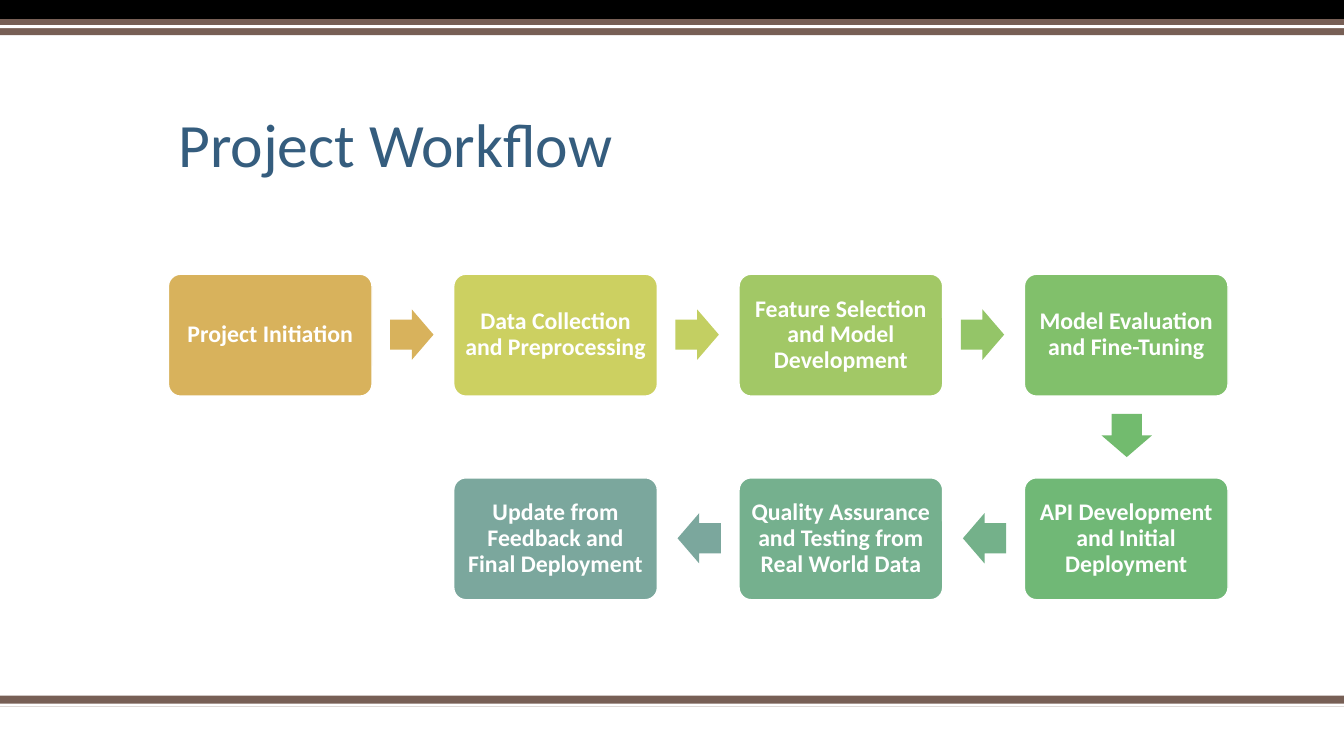
"""Build the Project Workflow slide: seven steps on a folding path of arrows."""

from dataclasses import dataclass
from typing import Any, Optional

from pptx import Presentation
from pptx.dml.color import RGBColor
from pptx.enum.shapes import MSO_SHAPE
from pptx.enum.text import MSO_ANCHOR, MSO_AUTO_SIZE, PP_ALIGN
from pptx.util import Inches, Pt

RECTANGLE = MSO_SHAPE.RECTANGLE
ROUNDED = MSO_SHAPE.ROUNDED_RECTANGLE
ARROW = MSO_SHAPE.RIGHT_ARROW
MIDDLE, BOTTOM = MSO_ANCHOR.MIDDLE, MSO_ANCHOR.BOTTOM
CENTER, LEFT = PP_ALIGN.CENTER, PP_ALIGN.LEFT
NO_AUTOFIT = MSO_AUTO_SIZE.NONE
TITLE_ONLY = 5


@dataclass(frozen=True)
class Theme:
    font: str = "Calibri"
    title_size: float = 44
    step_size: float = 17
    title: str = "355D7E"
    brown: str = "775F55"
    black: str = "000000"
    white: str = "FFFFFF"


@dataclass(frozen=True)
class Band:
    top: float
    height: float
    color: str


@dataclass(frozen=True)
class Heading:
    dx: float
    dy: float
    rotation: int


@dataclass(frozen=True)
class Step:
    label: str
    column: int
    row: int
    color: str
    heading: Optional[Heading] = None
    arrow_color: str = ""


THEME = Theme()
SLIDE_WIDTH, SLIDE_HEIGHT = 13.33, 7.5
GRID_LEFT, GRID_TOP = 1.67, 2.72
COLUMN_PITCH, ROW_PITCH = 2.83, 2.02
STEP_WIDTH, STEP_HEIGHT = 2.02, 1.21
ARROW_WIDTH, ARROW_HEIGHT = 0.43, 0.5
STEP_INSET = Inches(0.07)

ONWARD = Heading(2.2, 0.35, 0)
DOWN = Heading(0.8, 1.35, 90)
BACK = Heading(-0.61, 0.35, 180)

BANDS = [
    Band(6.9, 0.11, THEME.brown),
    Band(6.98, 0.03, THEME.white),
    Band(0, 0.19, THEME.black),
    Band(0.19, 0.16, THEME.brown),
    Band(0.25, 0.03, THEME.white),
]

STEPS = [
    Step("Project Initiation", 0, 0, "D8B25C", ONWARD, "D8B25C"),
    Step("Data Collection and Preprocessing", 1, 0, "CCD061", ONWARD, "C3CF62"),
    Step("Feature Selection and Model Development", 2, 0, "A2C866", ONWARD, "94C568"),
    Step("Model Evaluation and Fine-Tuning", 3, 0, "81C06B", DOWN, "72BB6E"),
    Step("API Development and Initial Deployment", 3, 1, "70B876", BACK, "74B18A"),
    Step("Quality Assurance and Testing from Real World Data", 2, 1, "75B08E", BACK, "7BA79D"),
    Step("Update from Feedback and Final Deployment", 1, 1, "7BA79D"),
]

TITLE_FRAME = {"vertical_anchor": BOTTOM, "word_wrap": True, "auto_size": NO_AUTOFIT}
TITLE_PARAGRAPH = {"alignment": LEFT, "line_spacing": 0.9}
TITLE_FONT = {"name": THEME.font, "size": Pt(THEME.title_size), "bold": False}
STEP_FRAME = {
    "vertical_anchor": MIDDLE,
    "word_wrap": True,
    "margin_left": STEP_INSET,
    "margin_right": STEP_INSET,
    "margin_top": STEP_INSET,
    "margin_bottom": STEP_INSET,
}
STEP_PARAGRAPH = {"alignment": CENTER, "line_spacing": 0.9}
STEP_FONT = {"name": THEME.font, "size": Pt(THEME.step_size), "bold": True}


def apply_format(target: Any, values: dict[str, Any]) -> None:
    """Set every attribute named in values on the target."""
    for attribute, value in values.items():
        setattr(target, attribute, value)


def write_text(holder: Any, text: str, frame: dict[str, Any],
               paragraph: dict[str, Any], font: dict[str, Any], color: str) -> None:
    """Write one formatted paragraph into a shape or placeholder."""
    apply_format(holder.text_frame, frame)
    line = holder.text_frame.paragraphs[0]
    apply_format(line, paragraph)
    run = line.add_run()
    run.text = text
    apply_format(run.font, font)
    run.font.color.rgb = RGBColor.from_string(color)


def add_filled(slide: Any, preset: Any, left: float, top: float,
               width: float, height: float, color: str) -> Any:
    """Add a flat preset shape without outline or shadow."""
    shape = slide.shapes.add_shape(
        preset, Inches(left), Inches(top), Inches(width), Inches(height))
    shape.shadow.inherit = False
    shape.fill.solid()
    shape.fill.fore_color.rgb = RGBColor.from_string(color)
    shape.line.fill.background()
    return shape


def add_title(slide: Any, text: str) -> None:
    """Place and format the title placeholder."""
    title = slide.shapes.title
    apply_format(title, {"left": Inches(1.67), "top": Inches(0.67),
                         "width": Inches(10), "height": Inches(1.17)})
    write_text(title, text, TITLE_FRAME, TITLE_PARAGRAPH, TITLE_FONT, THEME.title)


def add_step(slide: Any, step: Step) -> None:
    """Draw a workflow step and the arrow that leaves it."""
    left = GRID_LEFT + step.column * COLUMN_PITCH
    top = GRID_TOP + step.row * ROW_PITCH
    box = add_filled(slide, ROUNDED, left, top, STEP_WIDTH, STEP_HEIGHT, step.color)
    box.adjustments[0] = 0.1
    box.line.color.rgb = RGBColor.from_string(THEME.white)
    box.line.width = Pt(1)
    write_text(box, step.label, STEP_FRAME, STEP_PARAGRAPH, STEP_FONT, THEME.white)
    if step.heading:
        arrow = add_filled(slide, ARROW, left + step.heading.dx, top + step.heading.dy,
                           ARROW_WIDTH, ARROW_HEIGHT, step.arrow_color)
        arrow.adjustments[0] = 0.6
        arrow.adjustments[1] = 0.5
        arrow.rotation = step.heading.rotation


def main() -> None:
    """Assemble and save the slide."""
    deck = Presentation()
    deck.slide_width, deck.slide_height = Inches(SLIDE_WIDTH), Inches(SLIDE_HEIGHT)
    slide = deck.slides.add_slide(deck.slide_layouts[TITLE_ONLY])
    for band in BANDS:
        add_filled(slide, RECTANGLE, 0, band.top, SLIDE_WIDTH, band.height, band.color)
    add_title(slide, "Project Workflow")
    for step in STEPS:
        add_step(slide, step)
    deck.save("out.pptx")


if __name__ == "__main__":
    main()
